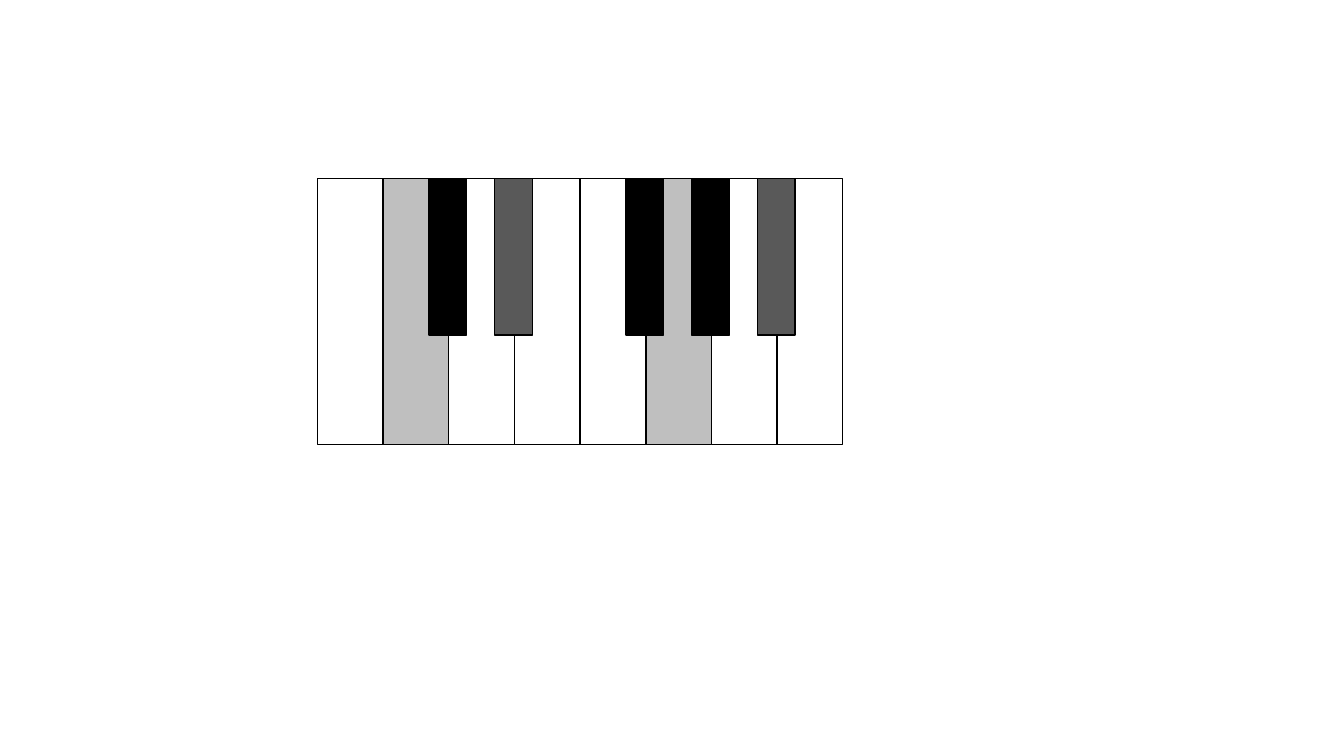
from pptx import Presentation
from pptx.dml.color import RGBColor
from pptx.enum.shapes import MSO_SHAPE as Preset
from pptx.util import Cm, Pt

WHITE = RGBColor(0xFF, 0xFF, 0xFF)
BLACK = RGBColor(0x00, 0x00, 0x00)
LIGHT_GREY = RGBColor(0xBF, 0xBF, 0xBF)
DARK_GREY = RGBColor(0x59, 0x59, 0x59)

SLIDE_FORMAT = {"slide_width": Cm(33.87), "slide_height": Cm(19.05)}
KEYBOARD_LEFT, KEYBOARD_TOP, KEYBOARD_WIDTH = Cm(8), Cm(4.5), Cm(13.24)
WHITE_KEY_COUNT = 8
WHITE_KEY_WIDTH = KEYBOARD_WIDTH // WHITE_KEY_COUNT
WHITE_KEY_HEIGHT = Cm(6.7)
BLACK_KEY_WIDTH, BLACK_KEY_HEIGHT = Cm(0.95), Cm(3.94)
BLACK_KEY_OVERLAP = Cm(0.5)

PRESSED_WHITE_KEYS = {1, 5}
BLACK_KEY_BOUNDARIES = (2, 3, 5, 6, 7)
PRESSED_BLACK_KEYS = {3, 7}


def add_key(keyboard, left, width, height, color):
    """Add one outlined piano key hanging from the top of the keyboard."""
    key = keyboard.shapes.add_shape(Preset.RECTANGLE, left, KEYBOARD_TOP, width, height)
    key.shadow.inherit = False
    key.fill.solid()
    key.fill.fore_color.rgb = color
    key.line.color.rgb = BLACK
    key.line.width = Pt(1)


def add_white_keys(keyboard):
    """Add the evenly spaced white keys, with the pressed ones in light grey."""
    for index in range(WHITE_KEY_COUNT):
        left = KEYBOARD_LEFT + index * WHITE_KEY_WIDTH
        color = LIGHT_GREY if index in PRESSED_WHITE_KEYS else WHITE
        add_key(keyboard, left, WHITE_KEY_WIDTH, WHITE_KEY_HEIGHT, color)


def add_black_keys(keyboard):
    """Add the black keys over white key boundaries, pressed ones in dark grey."""
    for boundary in BLACK_KEY_BOUNDARIES:
        left = KEYBOARD_LEFT + boundary * WHITE_KEY_WIDTH - BLACK_KEY_OVERLAP
        color = DARK_GREY if boundary in PRESSED_BLACK_KEYS else BLACK
        add_key(keyboard, left, BLACK_KEY_WIDTH, BLACK_KEY_HEIGHT, color)


def main():
    """Build the piano keyboard slide and save it."""
    presentation = Presentation()
    for name, value in SLIDE_FORMAT.items():
        setattr(presentation, name, value)
    slide = presentation.slides.add_slide(presentation.slide_layouts[6])
    keyboard = slide.shapes.add_group_shape()
    add_white_keys(keyboard)
    add_black_keys(keyboard)
    presentation.save("out.pptx")


main()
